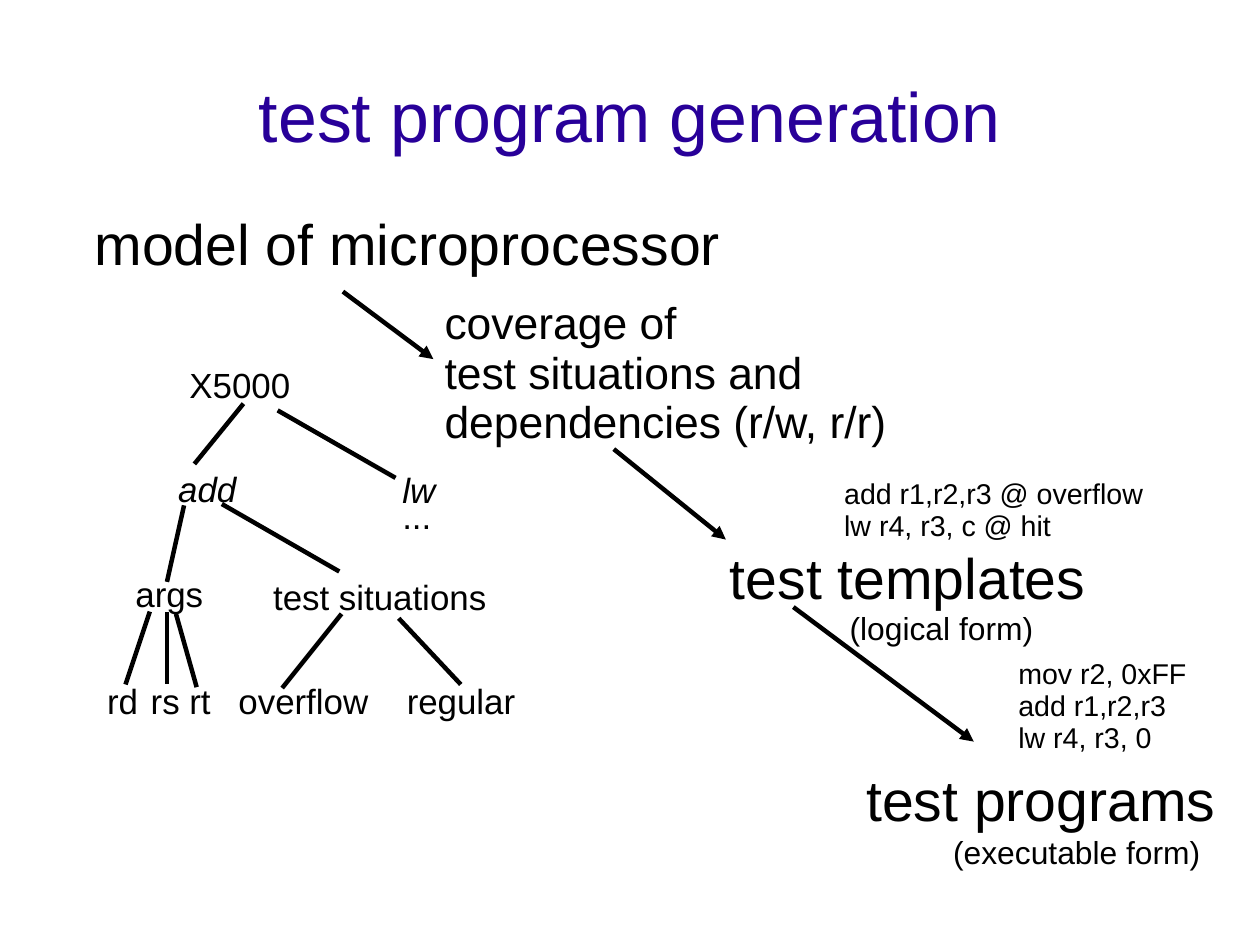
from collections import namedtuple

from lxml.etree import SubElement
from pptx import Presentation
from pptx.dml.color import RGBColor
from pptx.enum.shapes import MSO_CONNECTOR
from pptx.enum.text import MSO_ANCHOR, PP_ALIGN
from pptx.oxml.ns import qn
from pptx.util import Cm, Inches, Pt

COLOURS = {"title": "280099", "ink": "000000"}
FONT = "Arial"
LINE_SPACING = 0.93
COLUMNS, ROWS = 280, 210
SLIDE_WIDTH, SLIDE_HEIGHT = Cm(28), Cm(21)
Region = namedtuple("Region", "left top width height")


def across(columns):
    """Turn grid columns into a slide length."""
    return round(SLIDE_WIDTH * columns / COLUMNS)


def down(rows):
    """Turn grid rows into a slide length."""
    return round(SLIDE_HEIGHT * rows / ROWS)


def write(frame, lines, size, colour="ink", italic=False, align=PP_ALIGN.LEFT):
    """Fill a text frame with one paragraph per line."""
    frame.word_wrap = True
    frame.text = "\n".join(lines)
    for paragraph in frame.paragraphs:
        paragraph.alignment = align
        paragraph.line_spacing = LINE_SPACING
        font = paragraph.font
        font.name, font.size, font.italic = FONT, Pt(size), italic
        font.color.rgb = RGBColor.from_string(COLOURS[colour])


def add_label(page, region, left, top, width, height, lines, size, italic=False):
    """Place a text box inside a region."""
    box = page.shapes.add_textbox(across(region.left + left), down(region.top + top),
                                  across(width), down(height))
    frame = box.text_frame
    frame.margin_left, frame.margin_right = Inches(0.1), 0
    frame.margin_top = Inches(0.08 if size > 22 else 0.07)
    frame.margin_bottom = Inches(0.05)
    write(frame, lines, size, italic=italic)


def add_line(page, region, start, end, arrow=False):
    """Draw a straight line or arrow inside a region."""
    line = page.shapes.add_connector(
        MSO_CONNECTOR.STRAIGHT,
        across(region.left + start[0]), down(region.top + start[1]),
        across(region.left + end[0]), down(region.top + end[1]))
    line.line.width = Pt(2.83)
    line.line.color.rgb = RGBColor.from_string(COLOURS["ink"])
    properties = line._element.spPr
    if arrow:
        SubElement(properties.find(qn("a:ln")), qn("a:tailEnd"), type="triangle")
    SubElement(properties, qn("a:effectLst"))


def add_title(page, region):
    """Move and format the title placeholder."""
    title = page.shapes.title
    title.left, title.top = across(region.left), down(region.top)
    title.width, title.height = across(region.width), down(region.height)
    frame = title.text_frame
    frame.margin_left = frame.margin_right = frame.margin_bottom = 0
    frame.margin_top = Inches(0.04)
    frame.vertical_anchor = MSO_ANCHOR.MIDDLE
    write(frame, ["test program generation"], 44, "title", align=PP_ALIGN.CENTER)


def add_flow(page, region):
    """Draw the stages from model to test programs with their arrows."""
    stages = [
        (0.5, 0.7, 144, 17, ["model of microprocessor"], 36),
        (78.3, 19.6, 103.4, 35.3,
         ["coverage of\vtest situations and", "dependencies (r/w, r/r)"], 28),
        (141.7, 74.8, 84, 17, ["test templates"], 36),
        (172, 124.2, 82.5, 17, ["test programs"], 36),
        (167.1, 59.7, 71, 17, ["add r1,r2,r3 @ overflow", "lw r4, r3, c @ hit"], 18),
        (205.8, 99.7, 42.4, 24, ["mov r2, 0xFF", "add r1,r2,r3", "lw r4, r3, 0"], 18),
        (168.3, 89.3, 46, 10.4, ["(logical form)"], 20),
        (191.3, 139.1, 60, 10.4, ["(executable form)"], 20),
    ]
    arrows = [
        ((58.2, 19.8), (78.3, 34.8)),
        ((118.4, 54.8), (143.3, 74.9)),
        ((158.3, 89.9), (198.4, 119.8)),
    ]
    for stage in stages:
        add_label(page, region, *stage)
    for start, end in arrows:
        add_line(page, region, start, end, arrow=True)


def add_tree(page, region):
    """Draw the instruction tree of the processor model."""
    leaf_top = 70
    nodes = [
        ("X5000", 18.6, -0.2, 29.5, False),
        ("add", 16.1, 22.9, 19.6, True),
        ("lw", 65.9, 23.1, 13.7, True),
        ("...", 65.9, 28.9, 13, False),
        ("args", 6.6, 46.4, 21.6, False),
        ("test situations", 37.2, 46.9, 54.9, False),
        ("rd", 0.3, leaf_top, 13.2, False),
        ("rs", 10, leaf_top, 13, False),
        ("rt", 18.6, leaf_top, 11.2, False),
        ("overflow", 29.5, leaf_top, 35.6, False),
        ("regular", 66.9, leaf_top, 31, False),
    ]
    branches = [
        ((33.1, 9.7), (22.2, 23.1)),
        ((40.7, 11.2), (66.9, 26.2)),
        ((19.9, 32.3), (16.1, 49.3)),
        ((28.3, 32), (54.4, 47)),
        ((12.3, 55.9), (6.9, 72.1)),
        ((16.1, 55.9), (16.1, 71.9)),
        ((18.1, 56.4), (22.7, 72.7)),
        ((54.9, 56.4), (41.7, 72.9)),
        ((67.6, 57.4), (81.4, 72.1)),
    ]
    for name, left, top, width, italic in nodes:
        add_label(page, region, left, top, width, 11, [name], 22, italic)
    for start, end in branches:
        add_line(page, region, start, end)


def main():
    """Build and save the slide."""
    deck = Presentation()
    deck.slide_width, deck.slide_height = SLIDE_WIDTH, SLIDE_HEIGHT
    page = deck.slides.add_slide(deck.slide_layouts[5])
    add_title(page, Region(14, 8.4, 252, 35))
    add_flow(page, Region(18, 45, 256, 150))
    add_tree(page, Region(21, 80, 98, 82))
    deck.save("out.pptx")


if __name__ == "__main__":
    main()
